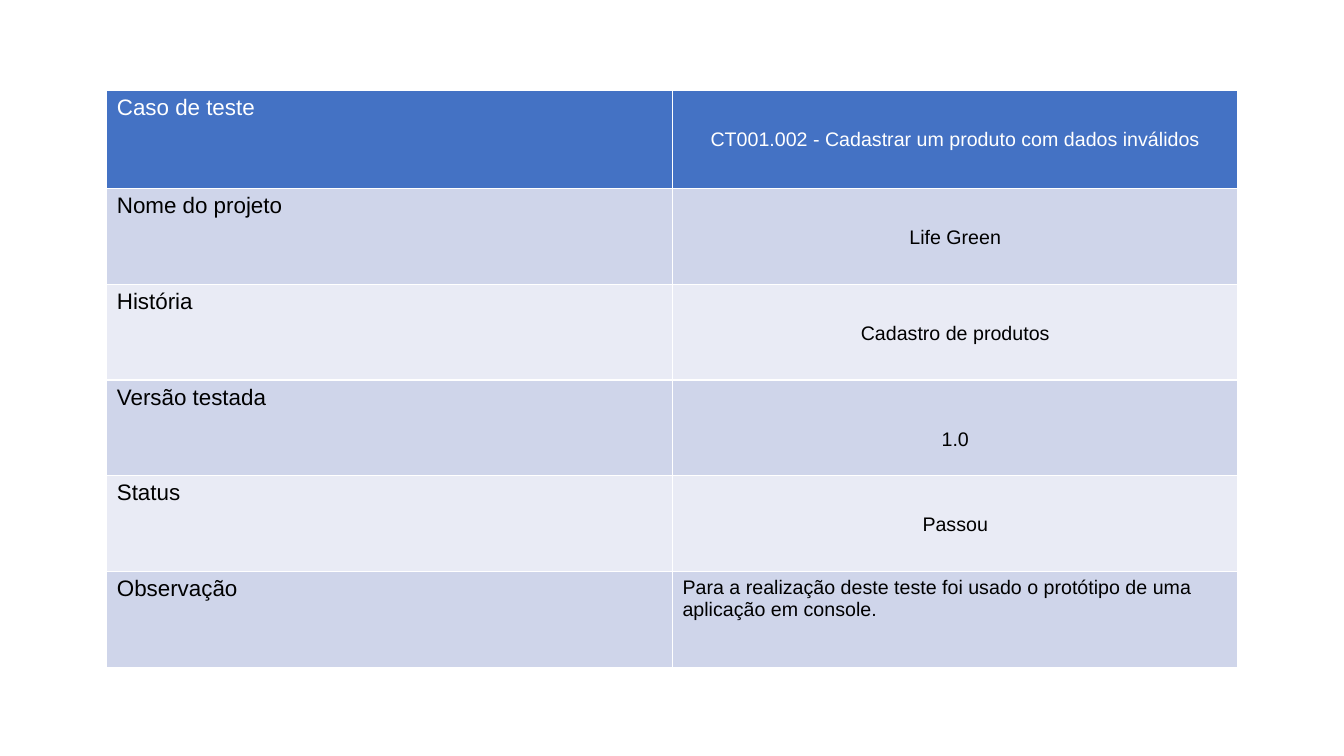
from lxml import etree
from pptx import Presentation
from pptx.dml.color import RGBColor
from pptx.enum.text import PP_ALIGN
from pptx.oxml.ns import qn
from pptx.util import Inches, Pt

LEFT, CENTER = PP_ALIGN.LEFT, PP_ALIGN.CENTER

TEST_CASE = [
    ("Caso de teste", "CT001.002 - Cadastrar um produto com dados inválidos", CENTER, 2.5),
    ("Nome do projeto", "Life Green", CENTER, 2.5),
    ("História", "Cadastro de produtos", CENTER, 2.5),
    ("Versão testada", "1.0", CENTER, 3.0),
    ("Status", "Passou", CENTER, 2.5),
    ("Observação", "Para a realização deste teste foi usado o protótipo de uma "
     "aplicação em console.", LEFT, 1.0),
]

THEME = {
    "font": "Arial",
    "label_size": 16,
    "value_size": 14,
    "header_fill": "4472C4",
    "band_fills": ("E9EBF5", "CFD5EA"),
    "header_text": "FFFFFF",
    "body_text": "000000",
    "border": "FFFFFF",
    "border_width": 1,
}

PAGE_WIDTH, PAGE_HEIGHT = 13.33, 7.5
TABLE_LEFT, TABLE_TOP = 1.06, 0.9
COLUMN_WIDTH = 5.61
HEADER_HEIGHT, ROW_HEIGHT = 0.97, 0.95


def add_borders(cell):
    properties = cell._tc.get_or_add_tcPr()
    for position, side in enumerate(("a:lnL", "a:lnR", "a:lnT", "a:lnB")):
        line = etree.Element(qn(side), w=str(Pt(THEME["border_width"])))
        fill = etree.SubElement(line, qn("a:solidFill"))
        etree.SubElement(fill, qn("a:srgbClr"), val=THEME["border"])
        properties.insert(position, line)


def fill_cell(cell, text, size, row, alignment, spacing):
    header = row == 0
    background = THEME["header_fill"] if header else THEME["band_fills"][row % 2]
    cell.fill.solid()
    cell.fill.fore_color.rgb = RGBColor.from_string(background)
    para = cell.text_frame.paragraphs[0]
    para.alignment = alignment
    para.line_spacing = spacing
    span = para.add_run()
    span.text = text
    font_format = {"name": THEME["font"], "size": Pt(size), "bold": False}
    for name, value in font_format.items():
        setattr(span.font, name, value)
    color = THEME["header_text"] if header else THEME["body_text"]
    span.font.color.rgb = RGBColor.from_string(color)
    add_borders(cell)


def main():
    deck = Presentation()
    deck.slide_width, deck.slide_height = Inches(PAGE_WIDTH), Inches(PAGE_HEIGHT)
    page = deck.slides.add_slide(deck.slide_layouts[6])
    heights = [HEADER_HEIGHT] + [ROW_HEIGHT] * (len(TEST_CASE) - 1)
    table = page.shapes.add_table(
        len(TEST_CASE), 2, Inches(TABLE_LEFT), Inches(TABLE_TOP),
        Inches(2 * COLUMN_WIDTH), Inches(sum(heights))).table
    for column in table.columns:
        column.width = Inches(COLUMN_WIDTH)
    for row, (label, value, alignment, spacing) in enumerate(TEST_CASE):
        table.rows[row].height = Inches(heights[row])
        fill_cell(table.cell(row, 0), label, THEME["label_size"], row, LEFT, 1.0)
        fill_cell(table.cell(row, 1), value, THEME["value_size"], row, alignment, spacing)
    deck.save("out.pptx")


if __name__ == "__main__":
    main()
